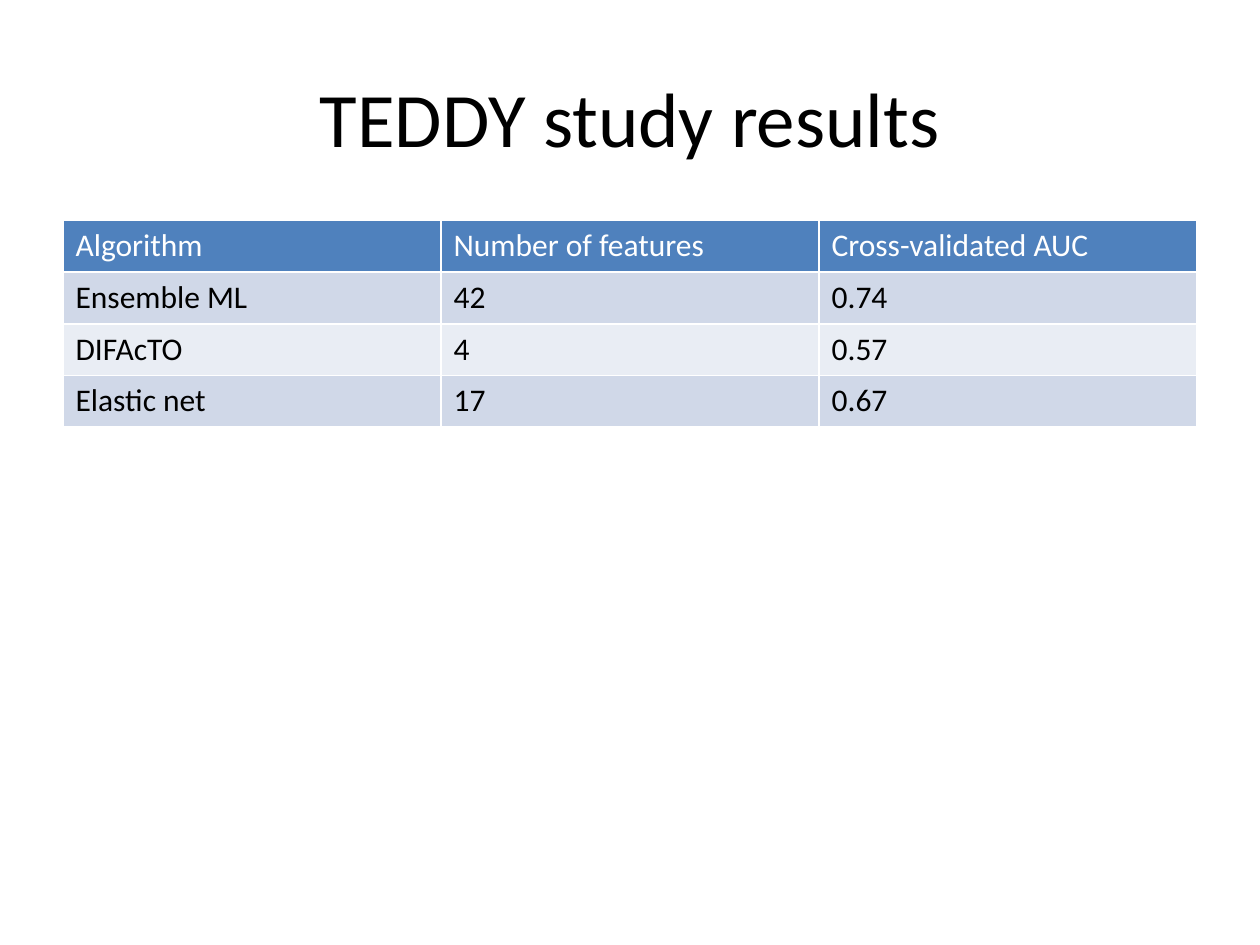
"""Build the slide of study results: a title above a banded table."""
from dataclasses import dataclass

from lxml.etree import SubElement
from pptx import Presentation
from pptx.dml.color import RGBColor
from pptx.enum.text import MSO_ANCHOR, PP_ALIGN
from pptx.oxml.ns import qn
from pptx.util import Inches, Pt

WHITE = RGBColor(0xFF, 0xFF, 0xFF)
BLACK = RGBColor(0x00, 0x00, 0x00)
BLUE = RGBColor(0x4F, 0x81, 0xBD)
MIST = RGBColor(0xD0, 0xD8, 0xE8)
PALE = RGBColor(0xE9, 0xED, 0xF4)

FONT = "Calibri"
WIDE, HIGH = Inches(10), Inches(7.5)
LEFT, SPAN = 0.05, 0.9
ROW = Inches(0.41)


@dataclass(frozen=True)
class Line:
    cells: tuple[str, ...]
    fill: RGBColor
    ink: RGBColor = BLACK


LINES = (
    Line(("Algorithm", "Number of features", "Cross-validated AUC"), BLUE, WHITE),
    Line(("Ensemble ML", "42", "0.74"), MIST),
    Line(("DIFAcTO", "4", "0.57"), PALE),
    Line(("Elastic net", "17", "0.67"), MIST),
)


def write(para, text: str, size: int, ink: RGBColor) -> None:
    run = para.add_run()
    run.text = text
    run.font.name = FONT
    run.font.size = Pt(size)
    run.font.bold = False
    run.font.color.rgb = ink


def edge(cell) -> None:
    props = cell._tc.get_or_add_tcPr()
    for side in ("lnL", "lnR", "lnT", "lnB"):
        line = SubElement(props, qn(f"a:{side}"), w=str(Pt(1)))
        fill = SubElement(line, qn("a:solidFill"))
        SubElement(fill, qn("a:srgbClr"), val=str(WHITE))


def head(slide, text: str) -> None:
    title = slide.shapes.title
    title.left, title.top = int(WIDE * LEFT), int(HIGH * 0.04)
    title.width, title.height = int(WIDE * SPAN), Inches(1.25)
    frame = title.text_frame
    frame.vertical_anchor = MSO_ANCHOR.MIDDLE
    para = frame.paragraphs[0]
    para.alignment = PP_ALIGN.CENTER
    write(para, text, 44, BLACK)


def grid(slide, lines: tuple[Line, ...]) -> None:
    table = slide.shapes.add_table(
        len(lines), len(lines[0].cells), int(WIDE * LEFT), Inches(1.75),
        int(WIDE * SPAN), ROW * len(lines),
    ).table
    for row, line in zip(table.rows, lines):
        for cell, text in zip(row.cells, line.cells):
            edge(cell)
            cell.fill.solid()
            cell.fill.fore_color.rgb = line.fill
            write(cell.text_frame.paragraphs[0], text, 18, line.ink)


def main() -> None:
    deck = Presentation()
    deck.slide_width, deck.slide_height = WIDE, HIGH
    slide = deck.slides.add_slide(deck.slide_layouts.get_by_name("Title Only"))
    head(slide, "TEDDY study results")
    grid(slide, LINES)
    deck.save("out.pptx")


if __name__ == "__main__":
    main()
